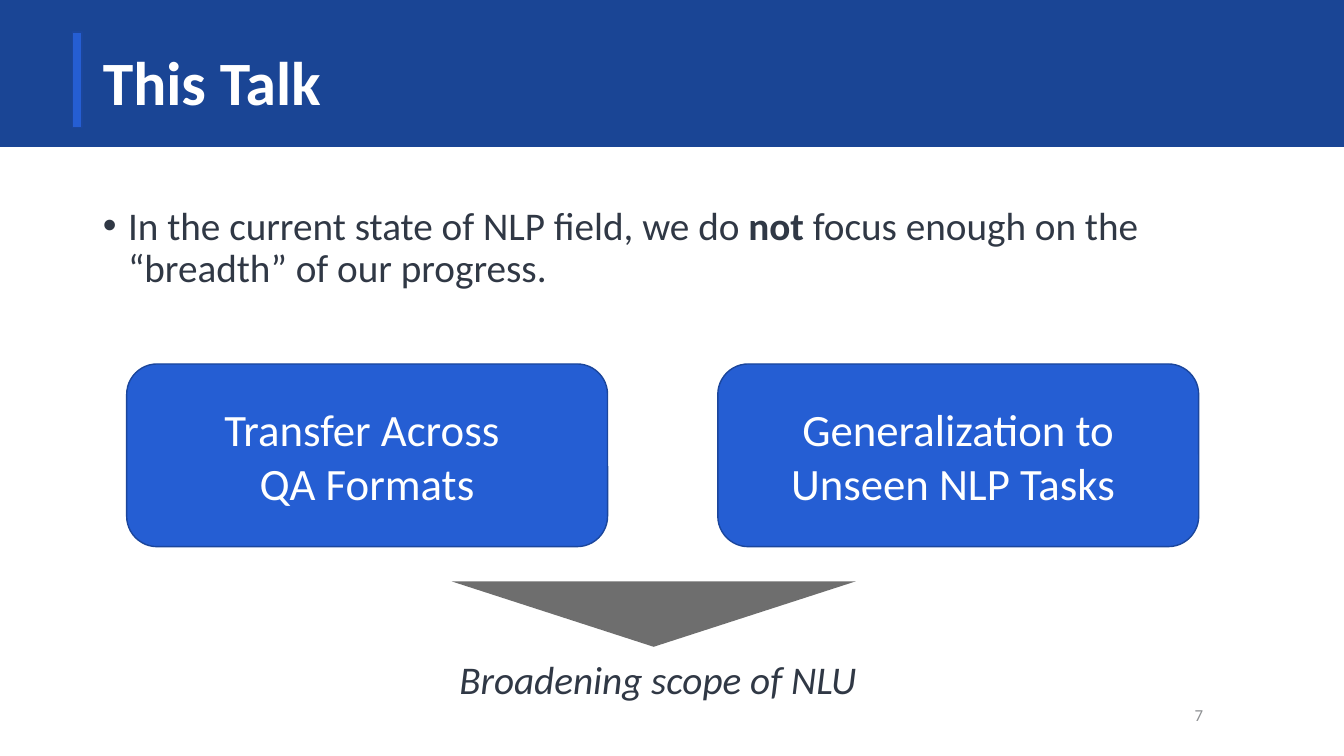
"""Builds the "This Talk" slide with its two themes and their shared outcome."""
from lxml import etree
from pptx import Presentation
from pptx.dml.color import RGBColor
from pptx.enum.shapes import MSO_SHAPE
from pptx.enum.text import MSO_ANCHOR, MSO_AUTO_SIZE, PP_ALIGN
from pptx.oxml.ns import qn
from pptx.util import Pt

RECT, ROUNDED, TRIANGLE = MSO_SHAPE.RECTANGLE, MSO_SHAPE.ROUNDED_RECTANGLE, MSO_SHAPE.ISOSCELES_TRIANGLE
TOP, MIDDLE = MSO_ANCHOR.TOP, MSO_ANCHOR.MIDDLE
LEFT, CENTER, RIGHT = PP_ALIGN.LEFT, PP_ALIGN.CENTER, PP_ALIGN.RIGHT
FIXED, FIT_SHAPE = MSO_AUTO_SIZE.NONE, MSO_AUTO_SIZE.SHAPE_TO_FIT_TEXT
FONT = "Calibri"
COLORS = {
    "band": "1A4595", "blue": "255ED3", "edge": "1B469C", "white": "FFFFFF",
    "ink": "303845", "number": "8F9194", "gray": "6E6E6E",
}


class TalkSlide:
    """Holds the slide and draws its elements in one style."""

    def __init__(self, slide):
        self.slide = slide

    def color(self, name):
        """Returns a named colour."""
        return RGBColor.from_string(COLORS[name])

    def add_runs(self, paragraph, runs, size, color, align=LEFT):
        """Adds runs given as (text, style) pairs; a newline breaks the line."""
        paragraph.alignment = align
        for text, style in runs:
            for index, line in enumerate(text.split("\n")):
                if index:
                    paragraph.add_line_break()
                run = paragraph.add_run()
                run.text = line
                font = run.font
                font.name, font.size = FONT, Pt(size)
                font.bold, font.italic = style == "bold", style == "italic"
                font.color.rgb = self.color(color)

    def shape(self, kind, box, fill, edge=None):
        """Adds a filled preset shape."""
        shape = self.slide.shapes.add_shape(kind, *map(Pt, box))
        shape.shadow.inherit = False
        shape.fill.solid()
        shape.fill.fore_color.rgb = self.color(fill)
        if edge:
            shape.line.color.rgb = self.color(edge)
            shape.line.width = Pt(1)
        else:
            shape.line.fill.background()
        return shape

    def theme(self, box, text):
        """Adds a rounded box with a centred label."""
        frame = self.shape(ROUNDED, box, "blue", "edge").text_frame
        frame.word_wrap, frame.vertical_anchor = True, MIDDLE
        self.add_runs(frame.paragraphs[0], [(text, None)], 32, "white", CENTER)

    def placeholder(self, holder, box, runs, size, color, anchor, bullet=False):
        """Moves a placeholder to the front and fills it."""
        holder.left, holder.top, holder.width, holder.height = map(Pt, box)
        holder.element.getparent().append(holder.element)
        frame = holder.text_frame
        frame.word_wrap, frame.auto_size, frame.vertical_anchor = True, FIXED, anchor
        paragraph = frame.paragraphs[0]
        if bullet:
            properties = paragraph._p.get_or_add_pPr()
            properties.set("marL", str(Pt(18)))
            properties.set("indent", str(-Pt(18)))
            etree.SubElement(properties, qn("a:buFont")).set("typeface", "Arial")
            etree.SubElement(properties, qn("a:buChar")).set("char", "•")
        paragraph.line_spacing, paragraph.space_before = 0.9, Pt(0)
        self.add_runs(paragraph, runs, size, color)

    def label(self, box, runs, size, color, align=LEFT, anchor=TOP, wrap=True):
        """Adds a text box."""
        frame = self.slide.shapes.add_textbox(*map(Pt, box)).text_frame
        frame.word_wrap, frame.vertical_anchor = wrap, anchor
        frame.auto_size = FIXED if wrap else FIT_SHAPE
        self.add_runs(frame.paragraphs[0], runs, size, color, align)


def main():
    """Builds and saves the presentation."""
    deck = Presentation()
    deck.slide_width, deck.slide_height = Pt(960), Pt(540)
    slide = deck.slides.add_slide(deck.slide_layouts[1])
    talk = TalkSlide(slide)
    title, claim = slide.placeholders

    talk.shape(RECT, (0, 0, 960, 104.5), "band", "band")
    talk.shape(RECT, (52, 23, 6.5, 68), "blue", "edge")
    talk.placeholder(title, (66.25, 23, 828, 75.6), [("This Talk", "bold")], 44, "white", MIDDLE)
    talk.placeholder(claim, (66.25, 144, 828, 342.75), [
        ("In the current state of NLP field, we do ", None),
        ("not", "bold"),
        (" focus enough on the “breadth” of our progress.", None),
    ], 28, "ink", TOP, bullet=True)
    talk.label((824.5, 496, 42, 29), [("7", None)], 12, "number", RIGHT, MIDDLE)

    themes = ("Transfer Across \nQA Formats", "Generalization to Unseen NLP Tasks ")
    for column, theme in enumerate(themes):
        talk.theme((90.5 + 422.25 * column, 260, 343.5, 130.5), theme)

    talk.label((321, 464.5, 300, 41), [("Broadening scope of NLU", "italic")], 28, "ink", wrap=False)
    talk.shape(TRIANGLE, (322.5, 415.25, 288.75, 46.75), "gray").rotation = 180
    deck.save("out.pptx")


if __name__ == "__main__":
    main()
